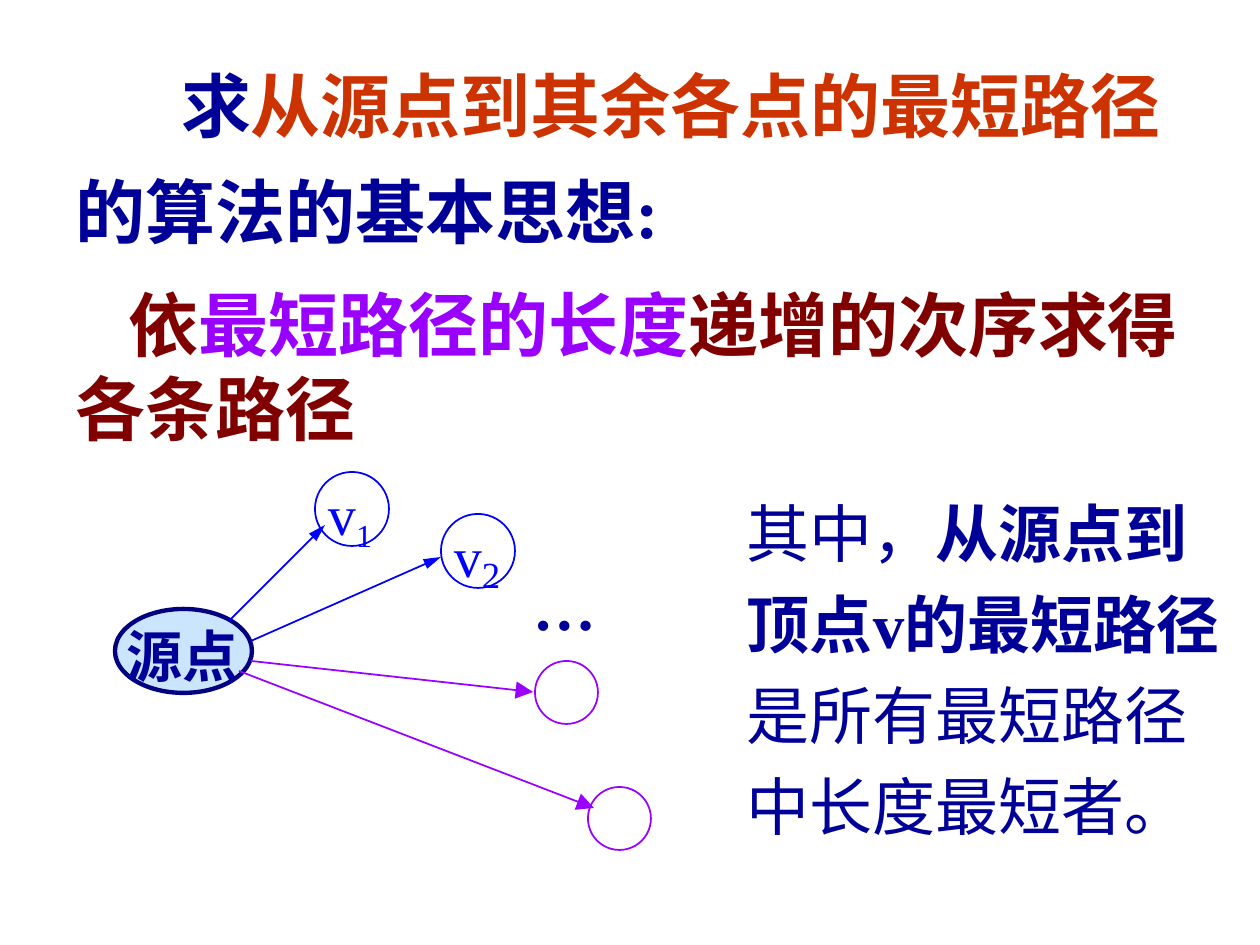
from lxml import etree
from pptx import Presentation
from pptx.dml.color import RGBColor
from pptx.enum.shapes import MSO_CONNECTOR, MSO_SHAPE
from pptx.enum.text import MSO_ANCHOR, MSO_AUTO_SIZE, PP_ALIGN
from pptx.oxml.ns import qn
from pptx.util import Emu, Pt

OVAL, STRAIGHT = MSO_SHAPE.OVAL, MSO_CONNECTOR.STRAIGHT
TOP, LEFT, NO_FIT = MSO_ANCHOR.TOP, PP_ALIGN.LEFT, MSO_AUTO_SIZE.NONE
PX = 914400 // 126

SC, TC, TIMES = "Noto Sans CJK SC", "Noto Sans CJK TC", "Times New Roman"
NAVY, RUST, MAROON = "000099", "CC3300", "800000"
PURPLE, BLUE, RIM, SKY = "9900FF", "0000FF", "000080", "99CCFF"

# Runs are (text, format overrides)
TITLE = [
    ("求", {}),
    ("从源点到其余各点的最短路径 ", {"color": RUST}),
    ("的算法的基本思想", {}),
    (":", {"font": TIMES}),
]
IDEA = [
    ("依", {}),
    ("最短路径的长度", {"color": PURPLE}),
    ("递增的次序求得 各条路径", {}),
]
NOTE = [
    ("其中，", {}),
    ("从源点到 顶点", {"bold": True}),
    ("v", {"bold": True, "font": TIMES}),
    ("的最短路径 ", {"bold": True}),
    ("是所有最短路径 中长度最短者。", {}),
]
V1 = [("v", {}), ("1", {"size": 31.5, "baseline": -21})]

# Vertices: left, top, diameter, colour
VERTICES = [
    (315, 472, 74, BLUE),
    (441, 514, 74, BLUE),
    (535, 661, 63, PURPLE),
    (588, 787, 63, PURPLE),
]
# Paths: start x, y, end x, y, colour, arrowhead width
PATHS = [
    (230, 620, 325, 525, BLUE, "med"),
    (251, 641, 441, 557, BLUE, "med"),
    (251, 661, 533, 692, PURPLE, "lg"),
    (239, 671, 594, 808, PURPLE, "lg"),
]


def px(*lengths):
    return [Emu(length * PX) for length in lengths]


def rgb(value):
    return RGBColor.from_string(value)


def add_text(slide, runs, at, size, color=NAVY, font=SC, bold=False,
             indent=0, leading=None, box=None):
    """Fill box, or a new text box, with one paragraph; leading is in points."""
    box = box or slide.shapes.add_textbox(0, 0, 0, 0)
    box.left, box.top, box.width, box.height = px(*at)
    frame = box.text_frame
    frame.word_wrap, frame.auto_size = True, NO_FIT
    frame.vertical_anchor = TOP
    frame.margin_left = frame.margin_right = frame.margin_bottom = 0
    frame.margin_top = px(1)[0]
    paragraph = frame.paragraphs[0]
    paragraph.alignment = LEFT
    if leading:
        paragraph.line_spacing = Pt(leading)
    properties = paragraph._p.get_or_add_pPr()
    properties.set("marL", "0")
    properties.set("indent", str(indent * PX))
    properties.set("hangingPunct", "0")
    for text, changes in [(runs, {})] if isinstance(runs, str) else runs:
        look = {"size": size, "color": color, "font": font, "bold": bold} | changes
        run = paragraph.add_run()
        run.text = text
        run.font.size, run.font.bold = Pt(look["size"]), look["bold"]
        run.font.name = look["font"]
        run.font.color.rgb = rgb(look["color"])
        run_properties = run._r.get_or_add_rPr()
        east_asian = etree.SubElement(run_properties, qn("a:ea"))
        east_asian.set("typeface", look["font"])
        if "baseline" in look:
            run_properties.set("baseline", str(look["baseline"] * 1000))


def add_oval(slide, at, color, width=1, fill=None):
    oval = slide.shapes.add_shape(OVAL, *px(*at))
    oval.shadow.inherit = False
    oval.line.color.rgb, oval.line.width = rgb(color), Pt(width)
    if fill:
        oval.fill.solid()
        oval.fill.fore_color.rgb = rgb(fill)
        tint = oval._element.spPr.find(qn("a:solidFill"))[0]
        etree.SubElement(tint, qn("a:alpha")).set("val", "50000")
    else:
        oval.fill.background()


def add_arrow(slide, ends, color, head_width):
    arrow = slide.shapes.add_connector(STRAIGHT, *px(*ends))
    arrow.line.color.rgb, arrow.line.width = rgb(color), Pt(1)
    head = etree.SubElement(arrow.line._get_or_add_ln(), qn("a:tailEnd"))
    for key, value in (("type", "triangle"), ("w", head_width), ("len", "lg")):
        head.set(key, value)
    etree.SubElement(arrow._element.spPr, qn("a:effectLst"))


def main():
    deck = Presentation()
    deck.slide_width, deck.slide_height = px(1260, 945)
    slide = deck.slides.add_slide(deck.slide_layouts[5])

    add_text(slide, TITLE, (76, 41, 1110, 214), 40, bold=True, indent=105,
             leading=60, box=slide.shapes.title)
    add_text(slide, IDEA, (76, 281, 1120, 171), 40, MAROON, TC, True,
             indent=53, leading=48)
    add_text(slide, NOTE, (747, 478, 478, 460), 36, leading=52)

    add_oval(slide, (115, 609, 137, 84), RIM, 2.5, SKY)
    for left, top, diameter, color in VERTICES:
        add_oval(slide, (left, top, diameter, diameter), color)
    for *ends, color, head_width in PATHS:
        add_arrow(slide, ends, color, head_width)

    add_text(slide, "源点", (127, 621, 120, 70), 32, bold=True, leading=38)
    add_text(slide, V1, (328, 479, 58, 70), 32, BLUE, TIMES)
    add_text(slide, "v", (454, 521, 32, 70), 32, BLUE, TIMES)
    add_text(slide, "2", (482, 551, 23, 48), 21, BLUE, TIMES)
    add_text(slide, "…", (533, 567, 67, 79), 36, font=TIMES, bold=True)

    deck.save("out.pptx")


if __name__ == "__main__":
    main()
